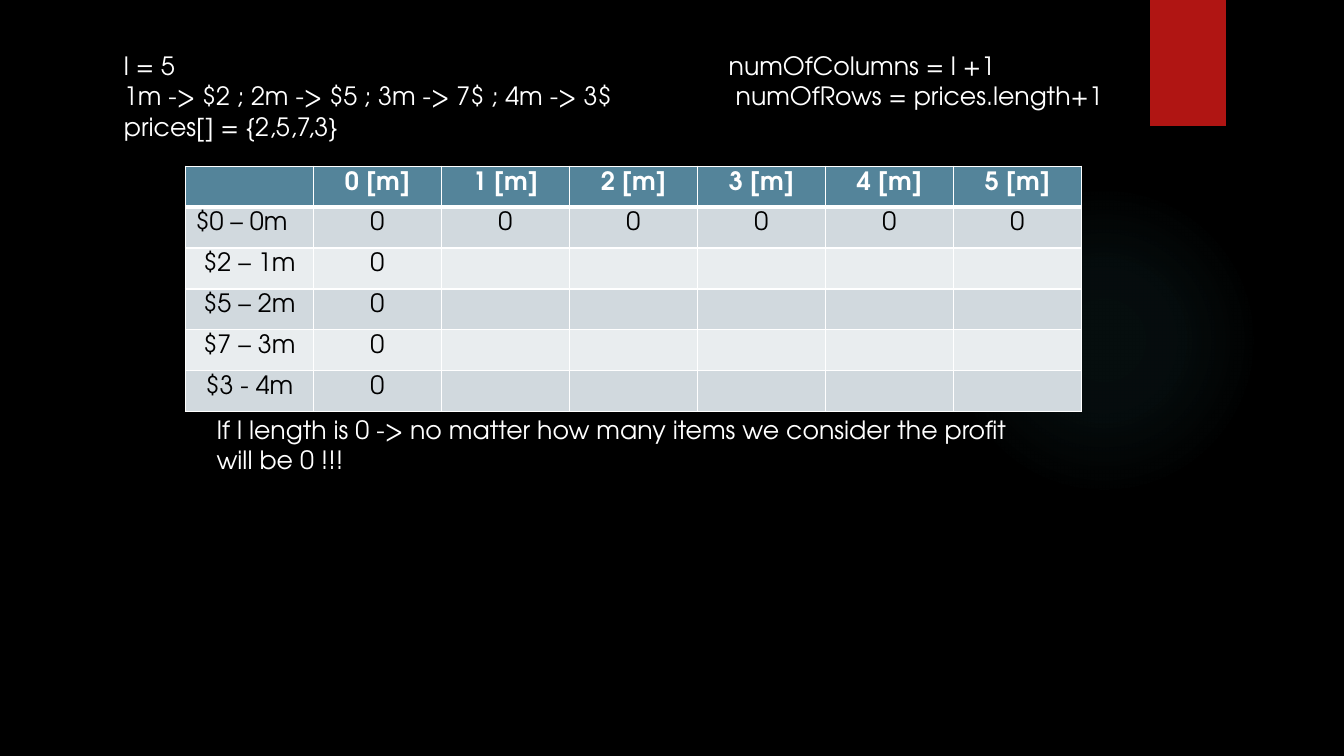
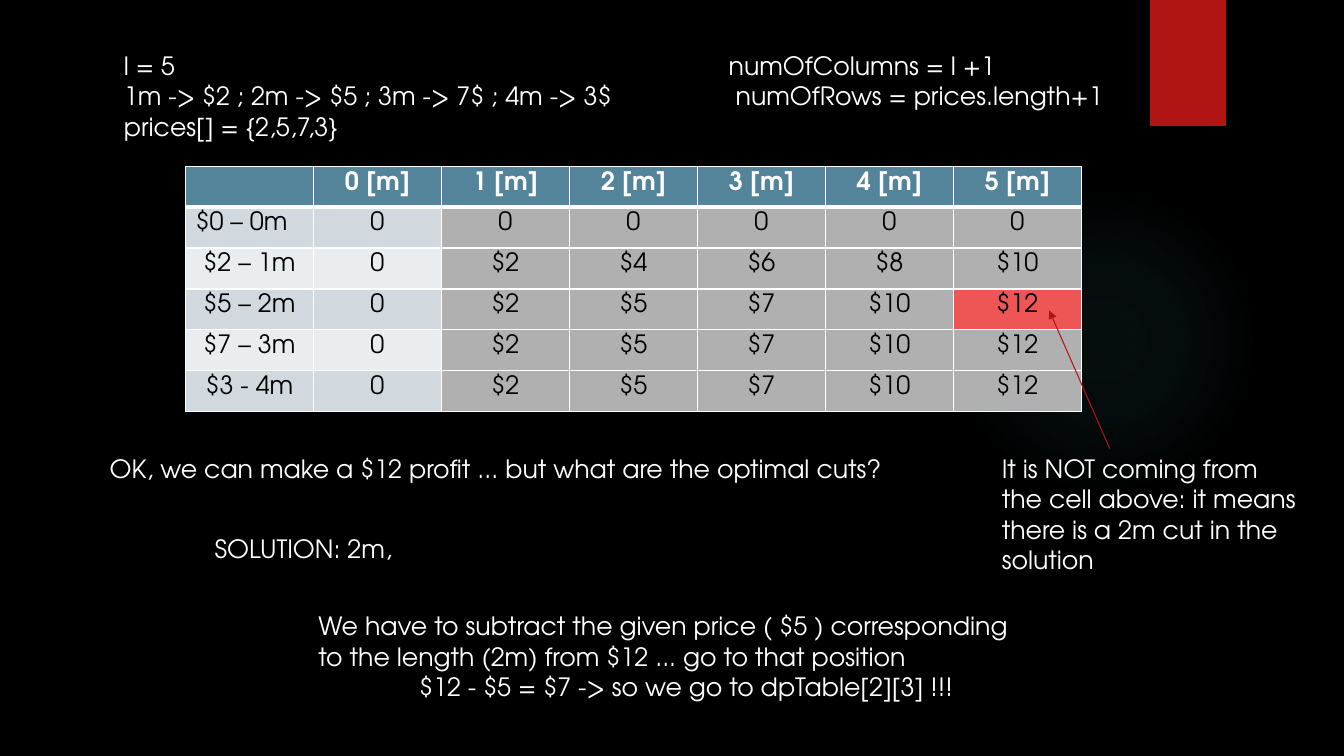
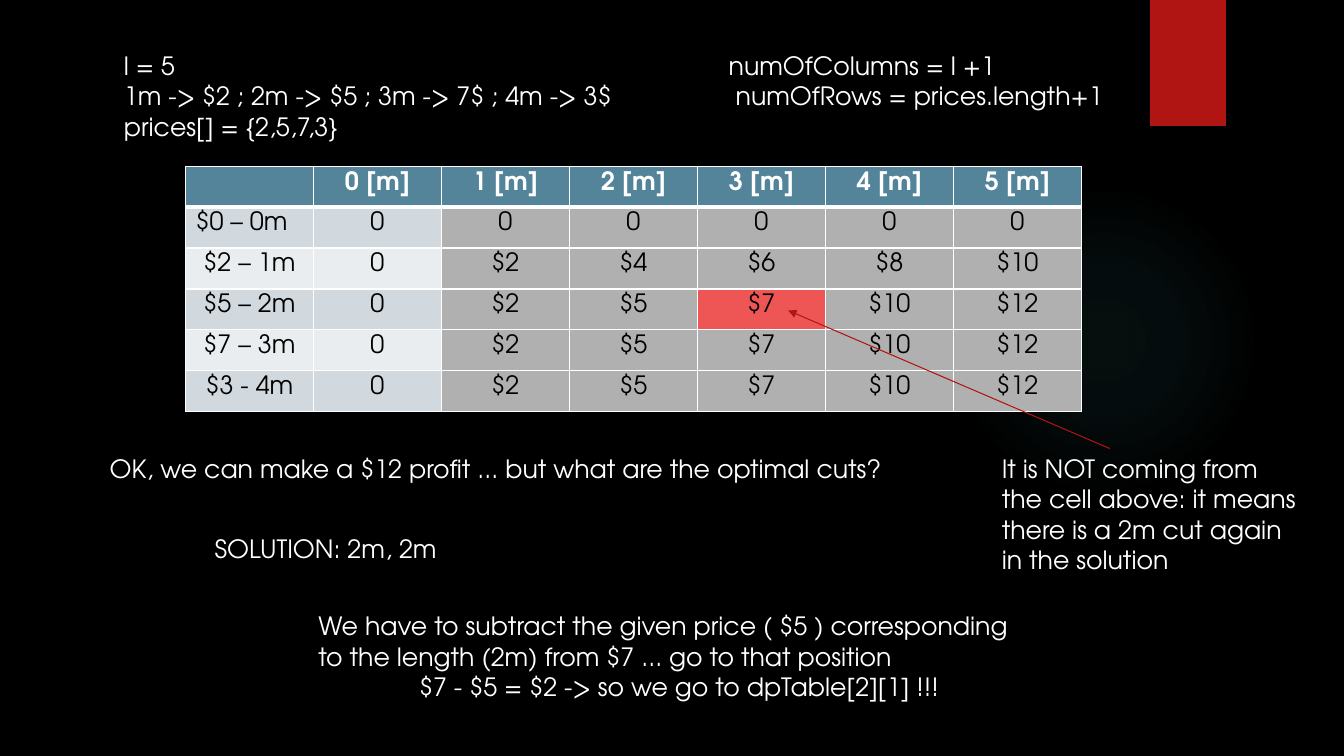
"""Build three slides on solving the rod cutting problem with a table."""
from lxml import etree
from pptx import Presentation
from pptx.dml.color import RGBColor
from pptx.enum.shapes import MSO_CONNECTOR, MSO_SHAPE
from pptx.enum.text import PP_ALIGN
from pptx.oxml import parse_xml
from pptx.oxml.ns import nsdecls, qn
from pptx.util import Pt

ELLIPSE, RECTANGLE = MSO_SHAPE.OVAL, MSO_SHAPE.RECTANGLE
STRAIGHT = MSO_CONNECTOR.STRAIGHT
LEFT, CENTER = PP_ALIGN.LEFT, PP_ALIGN.CENTER

FONT, SIZE = "TeX Gyre Adventor", Pt(18)
BLACK = RGBColor(0x00, 0x00, 0x00)
WHITE = RGBColor(0xFF, 0xFF, 0xFF)
RED = RGBColor(0xB0, 0x15, 0x13)
GLOW = RGBColor(0x50, 0xB9, 0xC1)
HEADER_FILL = RGBColor(0x54, 0x84, 0x9A)
BAND_FILLS = (RGBColor(0xD1, 0xD9, 0xDE), RGBColor(0xE9, 0xED, 0xEF))
SOLVED_FILL = RGBColor(0xB0, 0xB0, 0xB0)
CURRENT_FILL = RGBColor(0xED, 0x56, 0x54)

GLOW_STOPS = ((0, 7), (36, 6), (69, 0))
TABLE_LEFT, TABLE_TOP, TABLE_WIDTH, TABLE_HEIGHT = 132.5, 118.8, 640, 175.2

PROBLEM_BOX = (81.4, 32.4, 742.3, 94.3)
PROBLEM = [
    ("l = 5\tnumOfColumns = l +1", 432),
    ("1m -> $2 ; 2m -> $5 ; 3m -> 7$ ; 4m -> 3$\tnumOfRows = prices.length+1", 437),
    ("prices[] = {2,5,7,3}", None),
]
HEADINGS = ["", "0 [m]", "1 [m]", "2 [m]", "3 [m]", "4 [m]", "5 [m]"]
ITEMS = ["$0 – 0m", "$2 – 1m", "$5 – 2m", "$7 – 3m", "$3 - 4m"]
NO_PROFITS = [["0"] * 6] + [["0"] + [""] * 5] * 4
PROFITS = [
    ["0", "0", "0", "0", "0", "0"],
    ["0", "$2", "$4", "$6", "$8", "$10"],
    ["0", "$2", "$5", "$7", "$10", "$12"],
    ["0", "$2", "$5", "$7", "$10", "$12"],
    ["0", "$2", "$5", "$7", "$10", "$12"],
]

BASE_CASE_BOX = (147.6, 292.3, 585.4, 51.1)
BASE_CASE = ["If l length is 0 -> no matter how many items we consider the profit",
             "will be 0 !!!"]
QUESTION_BOX = (71.3, 320.4, 574.6, 28.8)
QUESTION = ["OK, we can make a $12 profit ... but what are the optimal cuts?"]
REASON_BOX = (708.5, 320.4, 227.5, 94.3)
REASON = ["It is NOT coming from", "the cell above: it means"]
SOLUTION_BOX = (146.2, 377.3, 181, 28.8)
NEXT_BOX = (220.3, 432.7, 520.6, 72.7)
NEXT_INDENT = 72
ARROW_START = (792.7, 320.4)

STEPS = [
    {"current": (3, 6), "arrow_end": (749.5, 221.8), "solution": "SOLUTION: 2m,",
     "reason": ["there is a 2m cut in the", "solution"], "profit": "$12",
     "move": "$12 - $5 = $7 -> so we go to dpTable[2][3] !!!"},
    {"current": (3, 4), "arrow_end": (563, 221.8), "solution": "SOLUTION: 2m, 2m",
     "reason": ["there is a 2m cut again", "in the solution"], "profit": "$7",
     "move": "$7 - $5 = $2 -> so we go to dpTable[2][1] !!!"},
]


def points(values):
    """Turn plain numbers into lengths."""
    return [Pt(value) for value in values]


def style(paragraph, color, bold=False):
    """Give a paragraph the deck's font."""
    font = paragraph.font
    font.name, font.size, font.bold = FONT, SIZE, bold
    font.color.rgb = color


def add_text(page, place, lines):
    """Add a text box with one paragraph per line and return its paragraphs."""
    frame = page.shapes.add_textbox(*points(place)).text_frame
    frame.word_wrap = True
    frame.text = "\n".join(lines)
    for paragraph in frame.paragraphs:
        style(paragraph, WHITE)
    return frame.paragraphs


def add_decor(page):
    """Add the soft glow and the red tab."""
    glow = page.shapes.add_shape(ELLIPSE, *points((677.5, 131.8, 221.8, 221.8)))
    tab = page.shapes.add_shape(RECTANGLE, *points((821.6, 0, 54, 90)))
    for shape in (glow, tab):
        shape.shadow.inherit = False
        shape.line.fill.background()
    tab.fill.solid()
    tab.fill.fore_color.rgb = RED
    glow.fill.background()
    stops = "".join(
        f'<a:gs pos="{place * 1000}"><a:srgbClr val="{GLOW}">'
        f'<a:alpha val="{alpha * 1000}"/></a:srgbClr></a:gs>'
        for place, alpha in GLOW_STOPS)
    gradient = parse_xml(
        f'<a:gradFill {nsdecls("a")}><a:gsLst>{stops}</a:gsLst><a:path path="circle">'
        '<a:fillToRect l="50000" t="50000" r="50000" b="50000"/></a:path></a:gradFill>')
    properties = glow._element.spPr
    properties.replace(properties.find(qn("a:noFill")), gradient)


def add_problem(page):
    """State the problem, with the table size at a tab stop."""
    paragraphs = add_text(page, PROBLEM_BOX, [line for line, _ in PROBLEM])
    for paragraph, (_, stop) in zip(paragraphs, PROBLEM):
        if stop:
            tabs = parse_xml(f'<a:tabLst {nsdecls("a")}>'
                             f'<a:tab pos="{Pt(stop)}" algn="l"/></a:tabLst>')
            paragraph._p.get_or_add_pPr().insert(0, tabs)


def add_borders(cell, row):
    """Draw white cell borders, thicker below the header."""
    widths = {"L": 1, "R": 1, "T": 3 if row == 1 else 1, "B": 3 if row == 0 else 1}
    for side, width in widths.items():
        cell._tc.get_or_add_tcPr().append(parse_xml(
            f'<a:ln{side} {nsdecls("a")} w="{Pt(width)}"><a:solidFill>'
            f'<a:srgbClr val="{WHITE}"/></a:solidFill></a:ln{side}>'))


def cell_fill(row, column, current):
    """Choose the fill of a cell; solved cells show once one is current."""
    if row == 0:
        return HEADER_FILL
    if (row, column) == current:
        return CURRENT_FILL
    if current and column > 1:
        return SOLVED_FILL
    return BAND_FILLS[(row - 1) % 2]


def add_profit_table(page, profits, current=None):
    """Add the table of profits by item and length."""
    rows = [HEADINGS] + [[item] + values for item, values in zip(ITEMS, profits)]
    place = points((TABLE_LEFT, TABLE_TOP, TABLE_WIDTH, TABLE_HEIGHT))
    table = page.shapes.add_table(len(rows), len(HEADINGS), *place).table
    table.horz_banding = False
    for row, texts in enumerate(rows):
        for column, text in enumerate(texts):
            cell = table.cell(row, column)
            cell.text = text
            add_borders(cell, row)
            cell.fill.solid()
            cell.fill.fore_color.rgb = cell_fill(row, column, current)
            paragraph = cell.text_frame.paragraphs[0]
            paragraph.alignment = LEFT if (row, column) == (1, 0) else CENTER
            style(paragraph, WHITE if row == 0 else BLACK, bold=row == 0)


def add_arrow(page, end):
    """Point from the reason to the current cell."""
    arrow = page.shapes.add_connector(STRAIGHT, *points(ARROW_START + end))
    arrow.line.color.rgb = RED
    arrow.line.width = Pt(0.75)
    etree.SubElement(arrow.line._get_or_add_ln(), qn("a:tailEnd"), type="triangle")
    etree.SubElement(arrow._element.spPr, qn("a:effectLst"))


def add_page(deck, profits, current=None):
    """Add a slide with the parts that all slides share."""
    page = deck.slides.add_slide(deck.slide_layouts[6])
    add_decor(page)
    add_problem(page)
    add_profit_table(page, profits, current)
    return page


def add_step(deck, step):
    """Add a slide for one step back through the table."""
    page = add_page(deck, PROFITS, step["current"])
    add_text(page, QUESTION_BOX, QUESTION)
    add_arrow(page, step["arrow_end"])
    add_text(page, REASON_BOX, REASON + step["reason"])
    add_text(page, SOLUTION_BOX, [step["solution"]])
    paragraphs = add_text(page, NEXT_BOX, [
        "We have to subtract the given price ( $5 ) corresponding",
        f"to the length (2m) from {step['profit']} ... go to that position",
        step["move"]])
    paragraphs[-1]._p.get_or_add_pPr().set("marL", str(Pt(NEXT_INDENT)))


def main():
    """Build and save the deck."""
    deck = Presentation()
    deck.slide_width, deck.slide_height = Pt(960), Pt(540)
    background = deck.slide_master.background.fill
    background.solid()
    background.fore_color.rgb = BLACK
    add_text(add_page(deck, NO_PROFITS), BASE_CASE_BOX, BASE_CASE)
    for step in STEPS:
        add_step(deck, step)
    deck.save("out.pptx")


if __name__ == "__main__":
    main()
